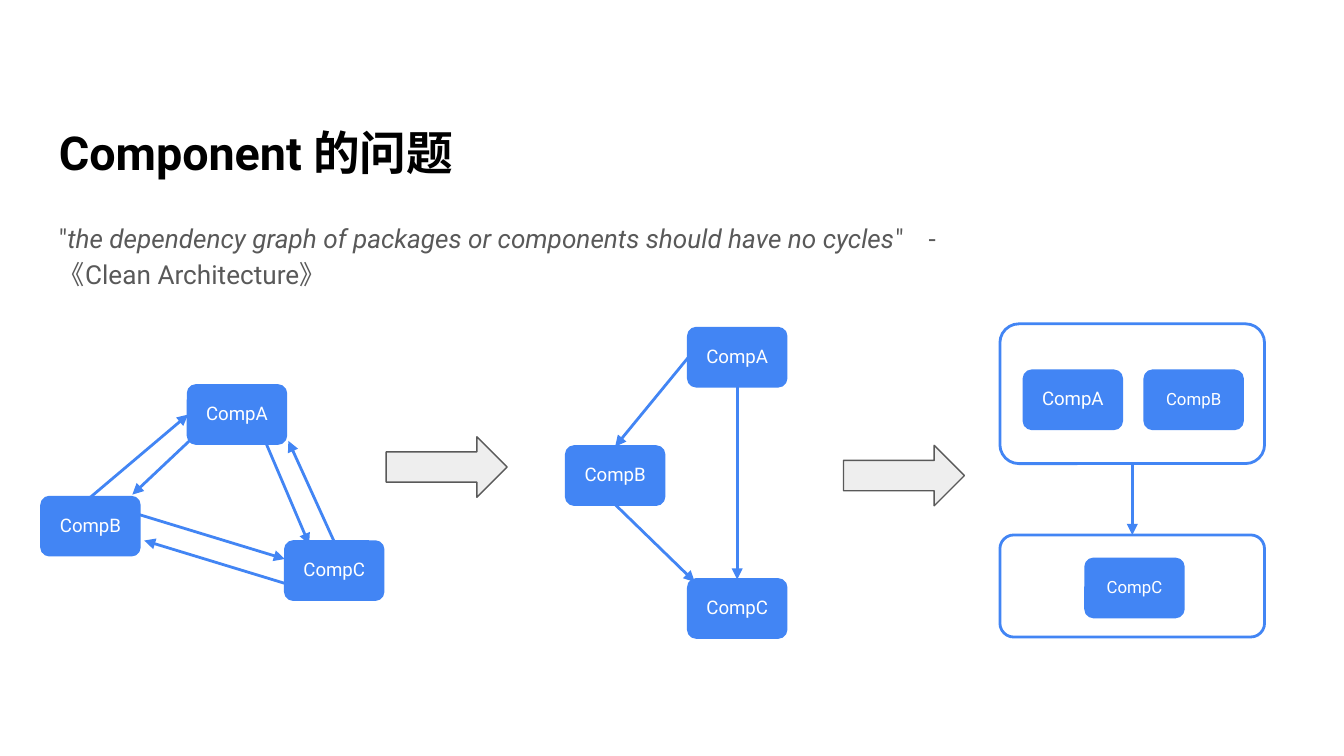
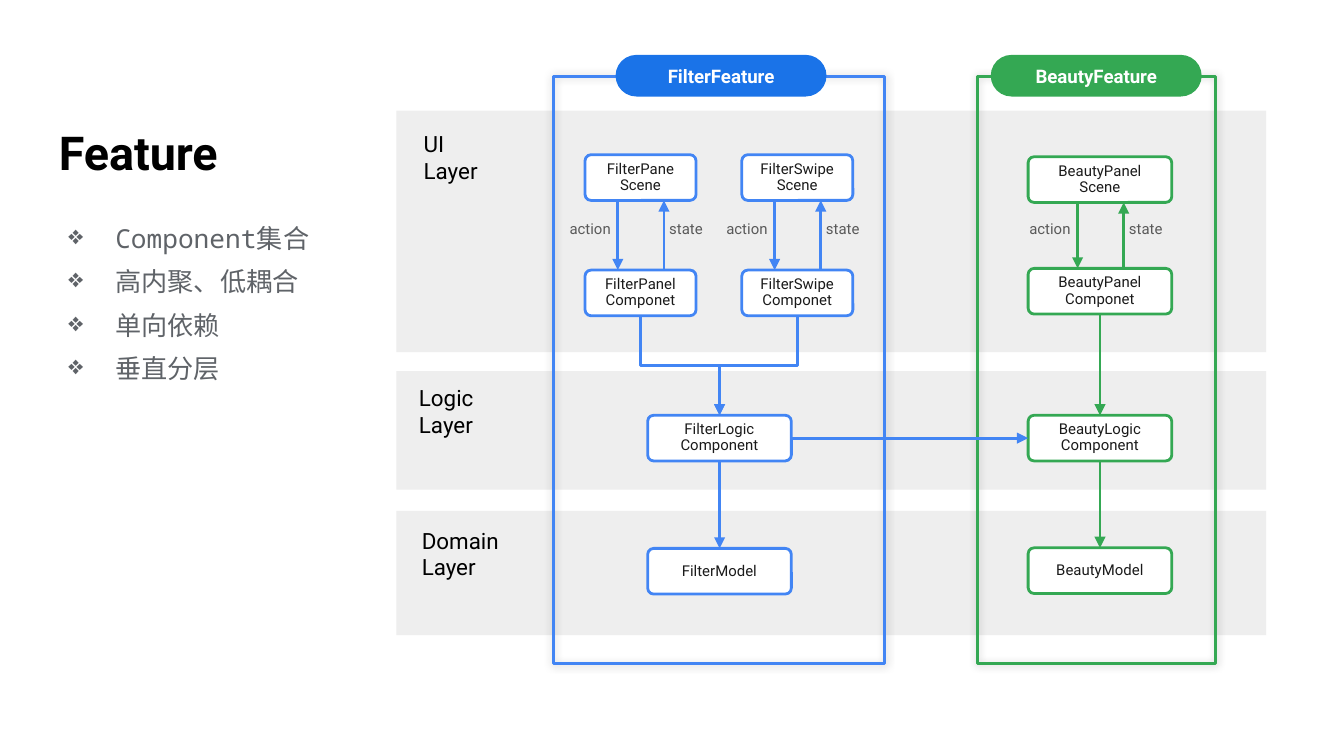
from lxml import etree
from pptx import Presentation
from pptx.dml.color import RGBColor
from pptx.enum.shapes import MSO_CONNECTOR as Link, MSO_SHAPE as Shape
from pptx.enum.text import MSO_ANCHOR as Anchor, PP_ALIGN as Align
from pptx.oxml import parse_xml
from pptx.oxml.ns import nsdecls, qn
from pptx.util import Pt

COLOURS = {
    "black": "000000", "white": "FFFFFF", "ink": "1A1A1A", "grey": "595959",
    "slate": "5F6368", "band": "EEEEEE", "blue": "4285F4", "deep blue": "1A73E8",
    "green": "34A853",
}
RGB = {name: RGBColor.from_string(code) for name, code in COLOURS.items()}
TOP, LEFT, BOTTOM, RIGHT = range(4)
TITLE_AT = (24.5, 43.9, 330, 59.8)
TITLE_STYLE = dict(size=25, bold=True, anchor=Anchor.BOTTOM)
CENTRED = dict(align=Align.CENTER, anchor=Anchor.MIDDLE)


def add_box(page, kind, at, fill=None, edge=None, edge_width=1.5, corner=None,
            lines=(), size=10, colour="black", bold=None, font="Roboto",
            align=Align.LEFT, anchor=Anchor.TOP, spacing=None, inset=7.2):
    place = [Pt(value) for value in at]
    if kind is None:
        box = page.shapes.add_textbox(*place)
    else:
        box = page.shapes.add_shape(kind, *place)
        box.shadow.inherit = False
        if corner is not None:
            box.adjustments[0] = corner
        if fill:
            box.fill.solid()
            box.fill.fore_color.rgb = RGB[fill]
        else:
            box.fill.background()
        if edge:
            box.line.color.rgb = RGB[edge]
            box.line.width = Pt(edge_width)
        else:
            box.line.fill.background()
    frame = box.text_frame
    frame.word_wrap = True
    frame.vertical_anchor = anchor
    frame.margin_left = frame.margin_right = Pt(inset)
    frame.margin_top = frame.margin_bottom = Pt(inset)
    for index, line in enumerate(lines):
        para = frame.add_paragraph() if index else frame.paragraphs[0]
        para.add_run().text = line
        para.alignment = align
        para.line_spacing = spacing
        para.font.name = font
        para.font.size = Pt(size)
        para.font.bold = bold
        para.font.color.rgb = RGB[colour]
    return box


def add_arrow(page, start, end, colour, kind=Link.STRAIGHT):
    points = [(0, 0) if hasattr(spot[0], "shape_id") else spot for spot in (start, end)]
    arrow = page.shapes.add_connector(kind, *[Pt(value) for spot in points for value in spot])
    if hasattr(start[0], "shape_id"):
        arrow.begin_connect(*start)
    if hasattr(end[0], "shape_id"):
        arrow.end_connect(*end)
    arrow.line.color.rgb = RGB[colour]
    arrow.line.width = Pt(1.5)
    etree.SubElement(arrow.line._get_or_add_ln(), qn("a:tailEnd"), type="triangle")
    etree.SubElement(arrow._element.spPr, qn("a:effectLst"))
    return arrow


deck = Presentation()
deck.slide_width, deck.slide_height = Pt(720), Pt(405)
blank = deck.slide_layouts[6]

page = deck.slides.add_slide(blank)
add_box(page, None, TITLE_AT, lines=["Component 的问题"], **TITLE_STYLE)
quote = add_box(page, None, (24.5, 109.4, 496.8, 250.6), lines=['"'], size=14,
                colour="grey", spacing=1.15)
para = quote.text_frame.paragraphs[0]
tabs = etree.Element(qn("a:tabLst"))
etree.SubElement(tabs, qn("a:tab"), pos=str(Pt(466)), algn="l")
para._p.pPr.find(qn("a:defRPr")).addprevious(tabs)
span = para.add_run()
span.text = "the dependency graph of packages or components should have no cycles"
span.font.italic = True
para.add_run().text = '"\t- 《Clean Architecture》'

outer, inner = [
    add_box(page, Shape.ROUNDED_RECTANGLE, (535.7, top, 141.8, height), "white", "blue",
            corner=0.136)
    for top, height in ((173.5, 74.9), (286.6, 54.7))
]
components = {}
for stage, name, left, top, size in (
    ("cycle", "CompA", 100.8, 206.6, 10),
    ("cycle", "CompB", 22.3, 266.4, 10),
    ("cycle", "CompC", 152.9, 290.2, 10),
    ("chain", "CompA", 368.8, 175.9, 10),
    ("chain", "CompB", 303.4, 239.3, 10),
    ("chain", "CompC", 368.8, 310.5, 10),
    ("group", "CompA", 548.6, 198.7, 10),
    ("group", "CompB", 613.3, 198.7, 9),
    ("group", "CompC", 581.6, 299.5, 9),
):
    components[stage, name] = add_box(
        page, Shape.ROUNDED_RECTANGLE, (left, top, 52.3, 31), "blue", "blue",
        corner=0.136, lines=[name], size=size, colour="white", spacing=0.9,
        inset=6.5, **CENTRED)
for left, top in ((206.9, 234), (451.9, 238.6)):
    add_box(page, Shape.RIGHT_ARROW, (left, top, 64.8, 32.4), "band", "grey", 0.75)

cycle_a, cycle_b, cycle_c, chain_a, chain_b, chain_c = list(components.values())[:6]
for start, end in (
    ((101.5, 236.2), (70.9, 265)),
    ((74.9, 275.8), (152.6, 299.5)),
    ((cycle_c, TOP), (154.5, 236.2)),
    ((cycle_b, TOP), (cycle_a, LEFT)),
    ((142.6, 237.6), (165.6, 291.6)),
    ((154.8, 313.2), (77.3, 289.6)),
    ((chain_a, LEFT), (chain_b, TOP)),
    ((chain_a, BOTTOM), (chain_c, TOP)),
    ((chain_b, BOTTOM), (372.2, 311.8)),
    ((outer, BOTTOM), (inner, TOP)),
):
    add_arrow(page, start, end, "blue")

page = deck.slides.add_slide(blank)
add_box(page, None, TITLE_AT, lines=["Feature"], **TITLE_STYLE)
points = add_box(page, None, (18.7, 109.4, 204.5, 250.6),
                 lines=["Component集合", "高内聚、低耦合", "单向依赖", "垂直分层"],
                 size=14, colour="slate", font="Noto Sans Mono", spacing=1.15)
for index, para in enumerate(points.text_frame.paragraphs):
    props = para._p.pPr
    props.set("marL", str(Pt(36)))
    props.set("indent", str(Pt(-25.2)))
    tint = etree.Element(qn("a:buClr"))
    etree.SubElement(tint, qn("a:srgbClr"), val=COLOURS["slate"])
    mark = etree.Element(qn("a:buChar"), char="❖")
    for item in (tint, mark):
        props.find(qn("a:defRPr")).addprevious(item)
    if index:
        para.space_before = Pt(4)

for name, top, height, label_left, label_top in (
    ("UI", 59.3, 129.4, 219.9, 62.6),
    ("Logic", 198.9, 63.5, 217.4, 198.7),
    ("Domain", 273.7, 66.6, 218.9, 275),
):
    add_box(page, Shape.RECTANGLE, (212.3, top, 466, height), "band")
    add_box(page, None, (label_left, label_top, 115.2, 43.9), lines=[name, "Layer"], size=12)

for name, colour, pill, left, width, pill_left in (
    ("FilterFeature", "blue", "deep blue", 296.6, 177.5, 329.8),
    ("BeautyFeature", "green", "green", 523.6, 127.6, 530.8),
):
    frame = add_box(page, Shape.RECTANGLE, (left, 41, width, 314.4), None, colour)
    effects = frame._element.spPr.find(qn("a:effectLst"))
    effects.append(parse_xml(
        f'<a:outerShdw {nsdecls("a")} blurRad="{Pt(4.5)}" dist="0" dir="0" rotWithShape="0">'
        '<a:srgbClr val="000000"><a:alpha val="22000"/></a:srgbClr></a:outerShdw>'))
    add_box(page, Shape.ROUNDED_RECTANGLE, (pill_left, 29.4, 113, 22.3), pill, corner=0.5,
            lines=[name], colour="white", bold=True, inset=0, **CENTRED)

nodes = {}
for text, colour, left, top, width in (
    ("FilterPane Scene", "blue", 313.4, 82.9, 59.5),
    ("FilterPanel Componet", "blue", 313.4, 144.7, 59.5),
    ("FilterSwipe Scene", "blue", 397.4, 82.9, 59.5),
    ("FilterSwipe Componet", "blue", 397.4, 144.7, 59.5),
    ("FilterLogic Component", "blue", 347, 222.5, 77),
    ("FilterModel", "blue", 347, 293.8, 77),
    ("BeautyPanel Scene", "green", 550.8, 84, 77),
    ("BeautyPanel Componet", "green", 550.8, 143.8, 77),
    ("BeautyLogic Component", "green", 550.8, 222.5, 77),
    ("BeautyModel", "green", 550.8, 293.5, 77),
):
    nodes[text] = add_box(
        page, Shape.ROUNDED_RECTANGLE, (left, top, width, 24.5), "white", colour,
        corner=0.132, lines=text.split(), size=8, colour="ink", spacing=0.9,
        inset=6.5, **CENTRED)

for action_x, scene_bottom, component_top, colour in (
    (331, 107.4, 144.7, "blue"),
    (415, 107.4, 144.7, "blue"),
    (577.3, 108.5, 143.8, "green"),
):
    state_x = action_x + 24.7
    add_arrow(page, (action_x, scene_bottom), (action_x, component_top), colour)
    add_arrow(page, (state_x, component_top), (state_x, scene_bottom), colour)
    for word, left in (("action", action_x - 37.5), ("state", state_x - 10.9)):
        add_box(page, None, (left, 113, 45.4, 24.5), lines=[word], size=8,
                colour="grey", align=Align.CENTER)

merge_x, merge_top, merge_bottom = 385.5, 169.2, 222.5
drop = merge_bottom - merge_top
for panel_x, turn in ((343.1, 270), (427.1, 90)):
    middle_x, middle_y = (panel_x + merge_x) / 2, (merge_top + merge_bottom) / 2
    reach = abs(panel_x - merge_x)
    ends = [middle_x - drop / 2, middle_x + drop / 2]
    if turn == 270:
        ends.reverse()
    elbow = add_arrow(page, (ends[0], middle_y - reach / 2), (ends[1], middle_y + reach / 2),
                      "blue", Link.ELBOW)
    elbow._element.spPr.find(qn("a:xfrm")).set("rot", str(turn * 60000))

for start, start_side, end, end_side, colour in (
    ("FilterLogic Component", BOTTOM, "FilterModel", TOP, "blue"),
    ("BeautyPanel Componet", BOTTOM, "BeautyLogic Component", TOP, "green"),
    ("BeautyLogic Component", BOTTOM, "BeautyModel", TOP, "green"),
    ("FilterLogic Component", RIGHT, "BeautyLogic Component", LEFT, "blue"),
):
    add_arrow(page, (nodes[start], start_side), (nodes[end], end_side), colour)

deck.save("out.pptx")
